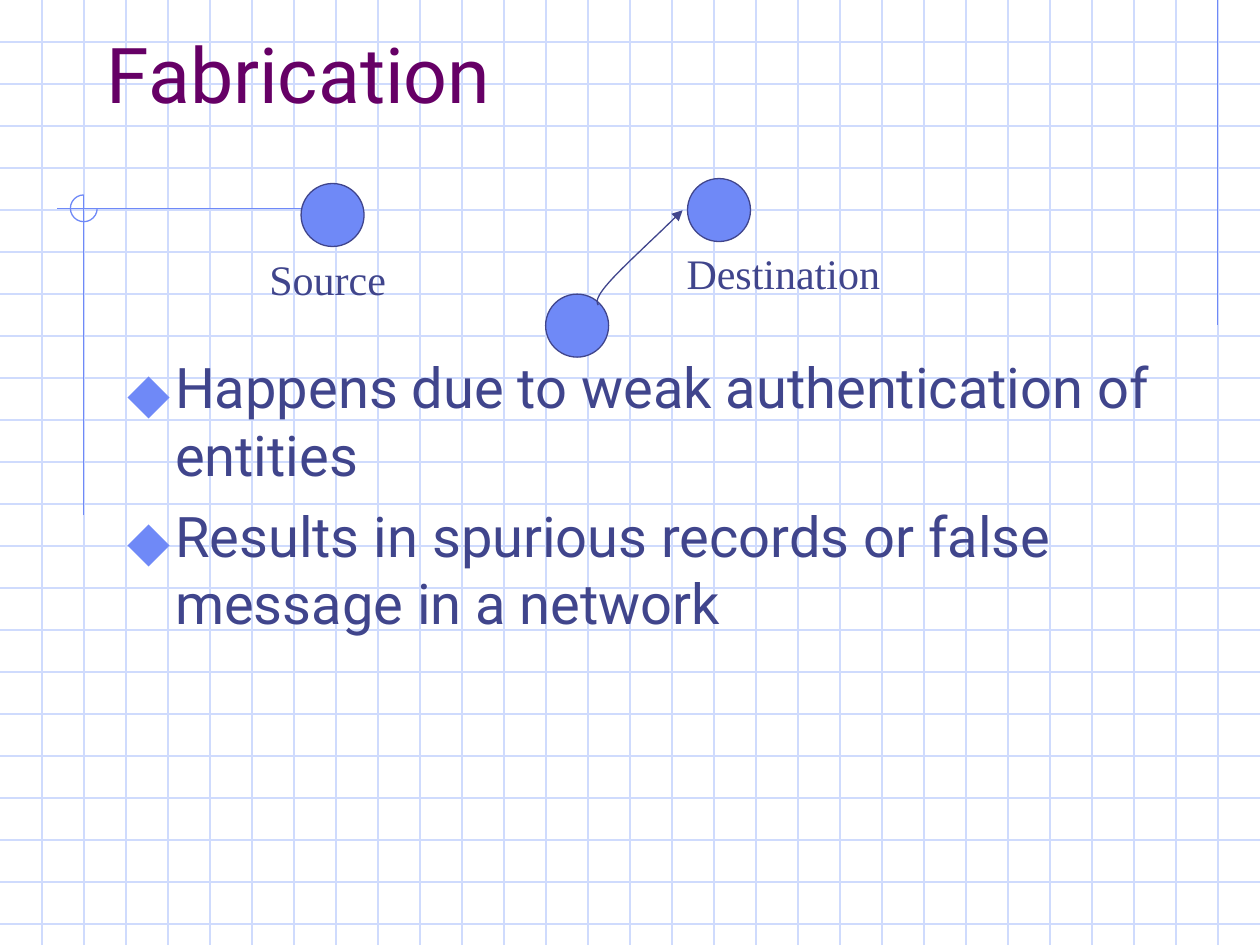
from dataclasses import dataclass

from pptx import Presentation
from pptx.dml.color import RGBColor
from pptx.enum.shapes import MSO_CONNECTOR as CONN, MSO_SHAPE as SHAPE
from pptx.enum.text import MSO_ANCHOR as ANCHOR, MSO_AUTO_SIZE as FIT, PP_ALIGN as ALIGN
from pptx.oxml.ns import qn
from pptx.util import Cm, Pt
from lxml.etree import SubElement


@dataclass(frozen=True)
class Theme:
    grid: str = "CFDBFD"
    accent: str = "6F89F7"
    ink: str = "40458C"
    heading: str = "660066"
    sans: str = "Roboto"
    serif: str = "Times New Roman"
    symbols: str = "Noto Sans Symbols"
    title_size: int = 44
    body_size: int = 32
    label_size: int = 24
    line_width: float = 0.75


THEME = Theme()
WIDTH, HEIGHT = 25.4, 19.05
GRID_STEP = 2.54 / 3
NODE_SIZE = 1.27


def set_outline(s, color):
    s.line.color.rgb = RGBColor.from_string(color)
    s.line.width = Pt(THEME.line_width)


def add_line(slide, x1, y1, x2, y2, color):
    s = slide.shapes.add_connector(CONN.STRAIGHT, Cm(x1), Cm(y1), Cm(x2), Cm(y2))
    set_outline(s, color)
    SubElement(s._element.spPr, qn("a:effectLst"))


def add_grid(slide):
    for i in range(1, int(HEIGHT / GRID_STEP) + 1):
        add_line(slide, 0, i * GRID_STEP, WIDTH, i * GRID_STEP, THEME.grid)
    for i in range(1, round(WIDTH / GRID_STEP)):
        add_line(slide, i * GRID_STEP, 0, i * GRID_STEP, HEIGHT, THEME.grid)


def add_corner_marks(slide):
    add_line(slide, 24.55, 0, 24.55, 6.55, THEME.accent)
    add_line(slide, 6.1, 4.21, 1.14, 4.21, THEME.accent)
    add_line(slide, 1.69, 3.93, 1.69, 10.39, THEME.accent)
    s = slide.shapes.add_shape(SHAPE.ARC, Cm(1.42), Cm(3.93), Cm(0.54), Cm(0.54))
    s.adjustments[0], s.adjustments[1] = 0, 162
    s.fill.background()
    set_outline(s, THEME.accent)
    s.shadow.inherit = False


def add_node(slide, x, y):
    s = slide.shapes.add_shape(SHAPE.OVAL, Cm(x), Cm(y), Cm(NODE_SIZE), Cm(NODE_SIZE))
    s.fill.solid()
    s.fill.fore_color.rgb = RGBColor.from_string(THEME.accent)
    set_outline(s, THEME.ink)
    s.shadow.inherit = False


def bezier(p0, p1, p2, p3, steps=12):
    for i in range(1, steps + 1):
        t = i / steps
        u = 1 - t
        yield tuple(
            Cm(u**3 * a + 3 * u * u * t * b + 3 * u * t * t * c + t**3 * d)
            for a, b, c, d in zip(p0, p1, p2, p3)
        )


def add_curved_arrow(slide, start, *segments):
    builder = slide.shapes.build_freeform(Cm(start[0]), Cm(start[1]))
    for segment in segments:
        builder.add_line_segments(bezier(start, *segment), close=False)
        start = segment[-1]
    s = builder.convert_to_shape()
    s.fill.background()
    set_outline(s, THEME.ink)
    SubElement(s.line._get_or_add_ln(), qn("a:tailEnd"), type="triangle")
    s.shadow.inherit = False


def write(p, text, *, size, font, color):
    r = p.add_run()
    r.text = text
    r.font.size = Pt(size)
    r.font.name = font
    r.font.color.rgb = RGBColor.from_string(color)


def set_title(slide, text):
    s = slide.shapes.title
    slide.shapes._spTree.append(s._element)
    s.left, s.top, s.width, s.height = Cm(1.9), Cm(0.84), Cm(21.6), Cm(1.68)
    tf = s.text_frame
    tf.auto_size = FIT.NONE
    tf.vertical_anchor = ANCHOR.BOTTOM
    p = tf.paragraphs[0]
    p.alignment = ALIGN.LEFT
    write(p, text, size=THEME.title_size, font=THEME.sans, color=THEME.heading)


def add_label(slide, text, x, y, w):
    tf = slide.shapes.add_textbox(Cm(x), Cm(y), Cm(w), Cm(1.27)).text_frame
    tf.word_wrap = True
    write(tf.paragraphs[0], text, size=THEME.label_size, font=THEME.serif, color=THEME.ink)


def add_bullet(p):
    pPr = p._p.get_or_add_pPr()
    pPr.set("marL", str(Cm(0.95)))
    pPr.set("indent", str(-Cm(0.95)))
    SubElement(SubElement(pPr, qn("a:buClr")), qn("a:srgbClr"), val=THEME.accent)
    SubElement(pPr, qn("a:buSzPct"), val="110000")
    SubElement(pPr, qn("a:buFont"), typeface=THEME.symbols)
    SubElement(pPr, qn("a:buChar"), char="⬥")


def add_bullets(slide, items):
    tf = slide.shapes.add_textbox(Cm(2.33), Cm(6.99), Cm(21.6), Cm(7.62)).text_frame
    tf.word_wrap = True
    for i, text in enumerate(items):
        p = tf.add_paragraph() if i else tf.paragraphs[0]
        add_bullet(p)
        if i:
            p.space_before = Pt(8)
        write(p, text, size=THEME.body_size, font=THEME.sans, color=THEME.ink)


def main():
    prs = Presentation()
    prs.slide_width, prs.slide_height = Cm(WIDTH), Cm(HEIGHT)
    slide = prs.slides.add_slide(prs.slide_layouts[5])
    add_grid(slide)
    add_corner_marks(slide)
    set_title(slide, "Fabrication")
    add_bullets(slide, [
        "Happens due to weak authentication of entities",
        "Results in spurious records or false message in a network",
    ])
    for x, y in [(6.07, 3.7), (13.86, 3.6), (11, 5.93)]:
        add_node(slide, x, y)
    add_label(slide, "Source", 5.18, 4.98, 3.1)
    add_label(slide, "Destination", 13.59, 4.87, 4.7)
    add_curved_arrow(
        slide,
        (12.06, 6.15),
        [(12.03, 6.1), (11.99, 6.02), (12.27, 5.7)],
        [(12.55, 5.38), (13.16, 4.83), (13.76, 4.24)],
    )
    prs.save("out.pptx")


if __name__ == "__main__":
    main()
